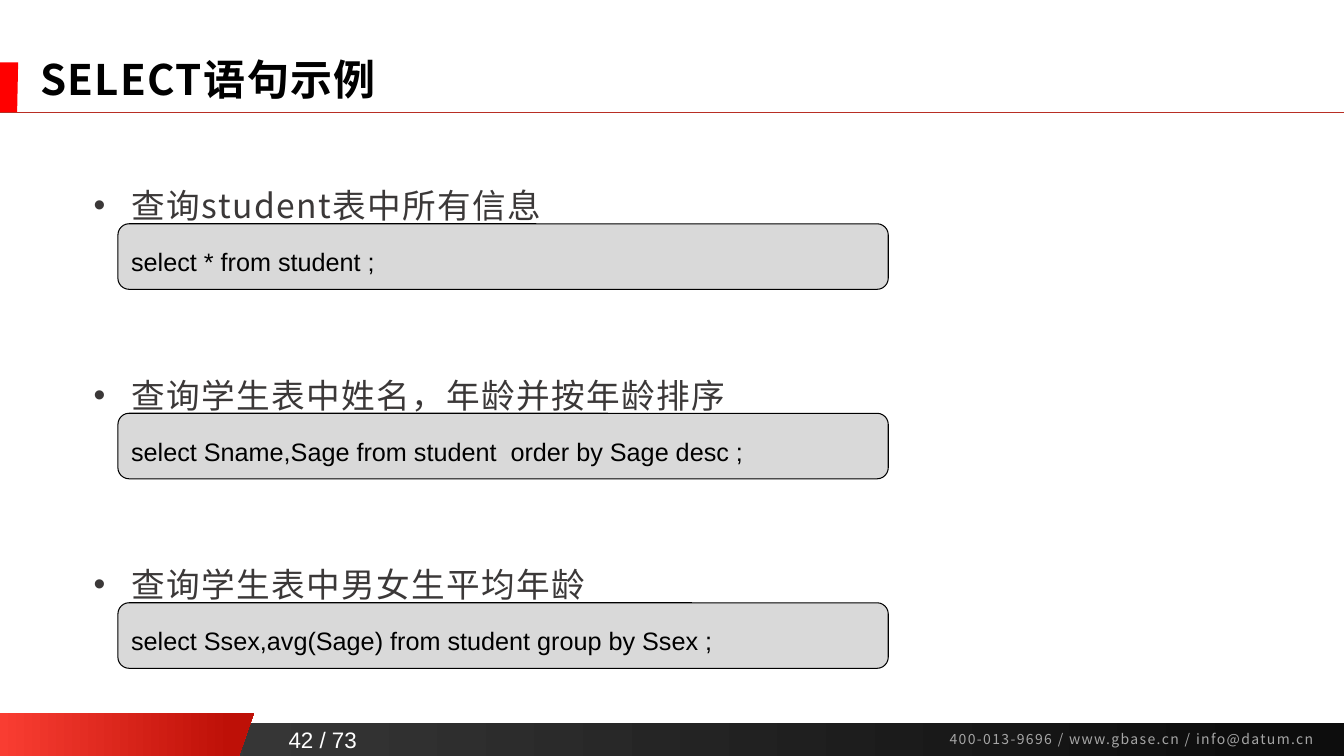
from pptx import Presentation
from pptx.dml.color import RGBColor
from pptx.enum.shapes import MSO_CONNECTOR, MSO_SHAPE
from pptx.enum.text import MSO_ANCHOR, PP_ALIGN
from pptx.oxml.ns import qn
from pptx.util import Inches, Pt
from lxml import etree

RECTANGLE = MSO_SHAPE.RECTANGLE
ROUNDED = MSO_SHAPE.ROUNDED_RECTANGLE
STRAIGHT = MSO_CONNECTOR.STRAIGHT
TOP, MIDDLE = MSO_ANCHOR.TOP, MSO_ANCHOR.MIDDLE
LEFT, CENTER = PP_ALIGN.LEFT, PP_ALIGN.CENTER
SANS, CJK = "Arial", "Noto Sans CJK SC"
PITCH = 1.88

QUERIES = [
    ("查询student表中所有信息", "select * from student ;"),
    ("查询学生表中姓名，年龄并按年龄排序",
     "select Sname,Sage from student  order by Sage desc ;"),
    ("查询学生表中男女生平均年龄",
     "select Ssex,avg(Sage) from student group by Ssex ;"),
]


def write(shape, lines, size, color, font=SANS, bold=False, tracking=0, align=LEFT,
          anchor=TOP, insets=(0.1, 0.05, 0.1, 0.05), spacing=None, gap=None, bullet=False):
    """Fill a shape with one formatted paragraph per line."""
    frame = shape.text_frame
    frame.word_wrap = True
    frame.vertical_anchor = anchor
    (frame.margin_left, frame.margin_top,
     frame.margin_right, frame.margin_bottom) = map(Inches, insets)
    for number, line in enumerate(lines):
        para = frame.add_paragraph() if number else frame.paragraphs[0]
        para.alignment = align
        if spacing:
            para.line_spacing = spacing
        if gap and number:
            para.space_before = gap
        if bullet:
            properties = para._p.get_or_add_pPr()
            properties.set("marL", str(Inches(0.38)))
            properties.set("indent", str(-Inches(0.38)))
            etree.SubElement(properties, qn("a:buFont")).set("typeface", SANS)
            etree.SubElement(properties, qn("a:buChar")).set("char", "•")
        span = para.add_run()
        span.text = line
        span.font.size = Pt(size)
        span.font.bold = bold
        span.font.name = font
        span.font.color.rgb = RGBColor.from_string(color)
        run_properties = span._r.get_or_add_rPr()
        run_properties.set("spc", str(tracking * 100))
        etree.SubElement(run_properties, qn("a:ea")).set("typeface", font)


def paint(shape, *colors, end=1.0, line=None):
    """Give a flat fill for one color, or a left-to-right gradient for two."""
    shape.shadow.inherit = False
    if len(colors) == 1:
        shape.fill.solid()
        shape.fill.fore_color.rgb = RGBColor.from_string(colors[0])
    else:
        shape.fill.gradient()
        shape.fill.gradient_angle = 0
        for stop, color, position in zip(shape.fill.gradient_stops, colors, (0, end)):
            stop.color.rgb = RGBColor.from_string(color)
            stop.position = position
    if line:
        shape.line.color.rgb = RGBColor.from_string(line)
        shape.line.width = Pt(0.75)
    else:
        shape.line.fill.background()


deck = Presentation()
deck.slide_width, deck.slide_height = Inches(13.33), Inches(7.5)
page = deck.slides.add_slide(deck.slide_layouts[6])
shapes = page.shapes

# Footer band, red wedges and title rule
band = shapes.add_shape(RECTANGLE, 0, Inches(7.17), deck.slide_width, Inches(0.33))
paint(band, "404040", "0D0D0D", end=0.94)

wedges = [
    (7.07, 7.5, 2.52, 2.37, ("F93D32", "BE1007")),
    (0.62, 1.12, 0.18, 0.17, ("FF0000",)),
]
for top, bottom, upper, lower, colors in wedges:
    outline = shapes.build_freeform(0, Inches(top))
    corners = [(upper, top), (lower, bottom), (0, bottom)]
    outline.add_line_segments([(Inches(x), Inches(y)) for x, y in corners], close=True)
    paint(outline.convert_to_shape(), *colors, end=0.91)

rule = shapes.add_connector(STRAIGHT, 0, Inches(1.11), deck.slide_width, Inches(1.11))
rule.line.color.rgb = RGBColor.from_string("B82E24")
rule.line.width = Pt(0.5)
etree.SubElement(rule._element.spPr, qn("a:effectLst"))

# Footer text
page_number = shapes.add_textbox(Inches(2.74), Inches(7.15), Inches(0.92), Inches(0.37))
write(page_number, ["42 / 73"], 16, "FFFFFF", align=CENTER, anchor=MIDDLE)
contact = shapes.add_textbox(Inches(9.32), Inches(7.2), Inches(3.99), Inches(0.27))
write(contact, ["400-013-9696 / www.gbase.cn / info@datum.cn"], 10, "A6A6A6",
      font=CJK, tracking=1)

# Title and bullets
title = shapes.add_textbox(Inches(0.3), Inches(0.59), Inches(12.26), Inches(0.53))
write(title, ["SELECT语句示例"], 30, "000000", font=CJK, bold=True, tracking=1,
      insets=(0.1, 0, 0.1, 0), spacing=0.9)
body = shapes.add_textbox(Inches(0.83), Inches(1.37), Inches(11.72), Inches(5.35))
line_height = Pt(58.7)
write(body, [question for question, _ in QUERIES], 24, "3B3838", font=CJK, tracking=1,
      spacing=line_height, gap=Inches(PITCH) - line_height, bullet=True)

# One code box under each bullet
for row, (_, code) in enumerate(QUERIES):
    box = shapes.add_shape(ROUNDED, Inches(1.17), Inches(2.22 + row * PITCH),
                           Inches(7.64), Inches(0.65))
    box.adjustments[0] = 0.17
    paint(box, "D9D9D9", line="000000")
    write(box, [code], 18, "000000", anchor=MIDDLE, insets=(0.1, 0.1, 0.1, 0))

deck.save("out.pptx")
